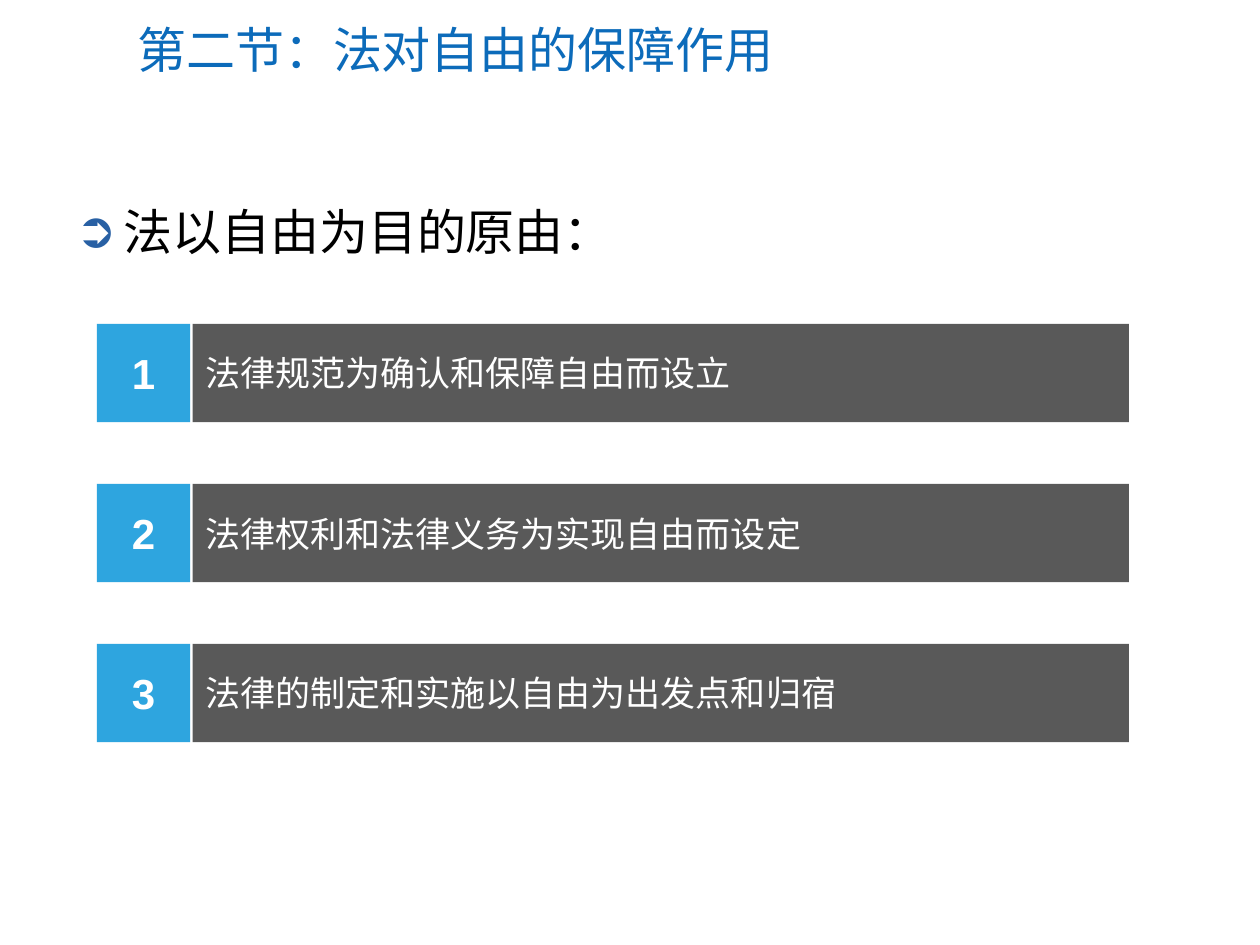
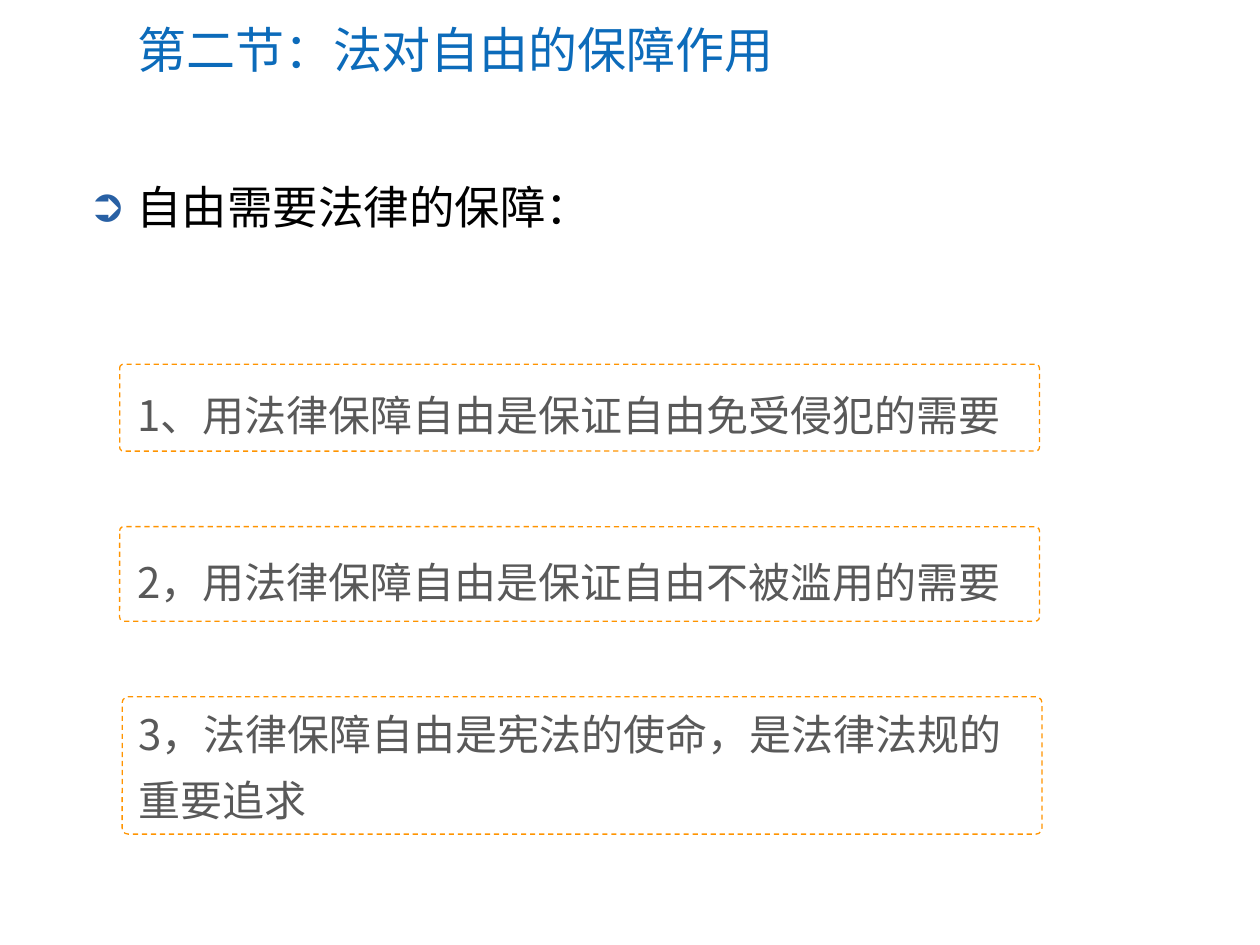
from lxml.etree import SubElement
from pptx import Presentation
from pptx.dml.color import RGBColor
from pptx.enum.dml import MSO_LINE
from pptx.enum.shapes import MSO_SHAPE
from pptx.enum.text import MSO_ANCHOR, MSO_AUTO_SIZE, PP_ALIGN
from pptx.oxml.ns import qn
from pptx.util import Inches, Pt

COLORS = {
    "title": "0C6BBA", "bullet": "2860A4", "black": "000000", "white": "FFFFFF",
    "number": "2EA5DF", "gray": "595959", "dash": "FF9400",
}
LATIN_FONT, NUMBER_FONT, CHINESE_FONT = "Calibri", "Arial", "Noto Sans CJK SC"
SECTION_TITLE = "第二节：法对自由的保障作用"


def color(name):
    return RGBColor.from_string(COLORS[name])


def write_text(shape, text, *, size, ink, font=LATIN_FONT, bold=False, align=PP_ALIGN.LEFT,
               anchor=MSO_ANCHOR.MIDDLE, fit=MSO_AUTO_SIZE.NONE, before=None, spacing=None):
    """Write one formatted paragraph into the shape and return it."""
    frame = shape.text_frame
    frame.word_wrap = True
    frame.auto_size = fit
    frame.vertical_anchor = anchor
    paragraph = frame.paragraphs[0]
    paragraph.alignment = align
    if before is not None:
        paragraph.space_before = Pt(before)
    if spacing is not None:
        paragraph.line_spacing = spacing
    run = paragraph.add_run()
    run.text = text
    run.font.name = font
    run.font.size = Pt(size)
    run.font.bold = bold
    run.font.color.rgb = color(ink)
    SubElement(run.font._element, qn("a:ea"), typeface=CHINESE_FONT)
    return paragraph


class LessonDeck:
    """Holds the shared style and the current slide."""

    def __init__(self):
        self.presentation = Presentation()
        self.presentation.slide_width = Inches(10)
        self.presentation.slide_height = Inches(7.5)
        self.slide = None

    def place(self, shape, left, top, width, height):
        shape.left, shape.top = Inches(left), Inches(top)
        shape.width, shape.height = Inches(width), Inches(height)

    def start_slide(self, title):
        self.slide = self.presentation.slides.add_slide(self.presentation.slide_layouts[1])
        self.place(self.slide.shapes.title, 0.99, 0.1, 8.72, 0.58)
        write_text(self.slide.shapes.title, title, size=28, ink="title")

    def heading(self, text, box, size):
        body = self.slide.placeholders[1]
        self.place(body, *box)
        paragraph = write_text(body, text, size=size, ink="black", anchor=MSO_ANCHOR.TOP)
        properties = paragraph._p.get_or_add_pPr()
        properties.set("marL", str(Inches(0.38)))
        properties.set("indent", str(-Inches(0.38)))
        bullet_color = SubElement(properties, qn("a:buClr"))
        SubElement(bullet_color, qn("a:srgbClr"), val=COLORS["bullet"])
        SubElement(properties, qn("a:buChar"), char="➲")

    def block(self, group, kind, left, top, width, height, fill):
        shape = group.shapes.add_shape(
            kind, Inches(left), Inches(top), Inches(width), Inches(height))
        shape.shadow.inherit = False
        shape.fill.solid()
        shape.fill.fore_color.rgb = color(fill)
        shape.line.fill.background()
        return shape

    def numbered_bar(self, number, text, top):
        group = self.slide.shapes.add_group_shape()
        badge = self.block(group, MSO_SHAPE.RECTANGLE, 0.77, top, 0.74, 0.78, "number")
        write_text(badge, str(number), size=24, ink="white", font=NUMBER_FONT, bold=True,
                   align=PP_ALIGN.CENTER, before=4.8)
        bar = self.block(group, MSO_SHAPE.RECTANGLE, 1.53, top, 7.43, 0.78, "gray")
        write_text(bar, text, size=20, ink="white", before=4)

    def dashed_card(self, text, left, top, height, text_left, text_top, text_height):
        group = self.slide.shapes.add_group_shape()
        frame = self.block(group, MSO_SHAPE.ROUNDED_RECTANGLE, left, top, 7.3, height, "white")
        frame.adjustments[0] = 0.044
        frame.line.color.rgb = color("dash")
        frame.line.width = Pt(0.75)
        frame.line.dash_style = MSO_LINE.DASH
        label = group.shapes.add_textbox(
            Inches(text_left), Inches(text_top), Inches(7.27), Inches(text_height))
        write_text(label, text, size=24, ink="gray", font=CHINESE_FONT, spacing=1.3,
                   fit=MSO_AUTO_SIZE.SHAPE_TO_FIT_TEXT)


def main():
    deck = LessonDeck()

    # Slide 1: why law takes freedom as its aim
    deck.start_slide(SECTION_TITLE)
    deck.heading("法以自由为目的原由：", (0.5, 1.55, 9, 0.73), 28)
    reasons = [
        "法律规范为确认和保障自由而设立",
        "法律权利和法律义务为实现自由而设定",
        "法律的制定和实施以自由为出发点和归宿",
    ]
    for index, reason in enumerate(reasons):
        deck.numbered_bar(index + 1, reason, 2.57 + 1.27 * index)

    # Slide 2: why freedom needs the law
    deck.start_slide(SECTION_TITLE)
    deck.heading("自由需要法律的保障：", (0.6, 1.37, 7.56, 0.6), 26)
    needs = [
        ("1、用法律保障自由是保证自由免受侵犯的需要", 0.95, 2.89, 0.69, 0.99, 2.92, 0.63),
        ("2，用法律保障自由是保证自由不被滥用的需要", 0.95, 4.18, 0.75, 0.99, 4.24, 0.63),
        ("3，法律保障自由是宪法的使命，是法律法规的重要追求", 0.97, 5.53, 1.09, 1, 5.45, 1.15),
    ]
    for need in needs:
        deck.dashed_card(*need)

    deck.presentation.save("out.pptx")


if __name__ == "__main__":
    main()
